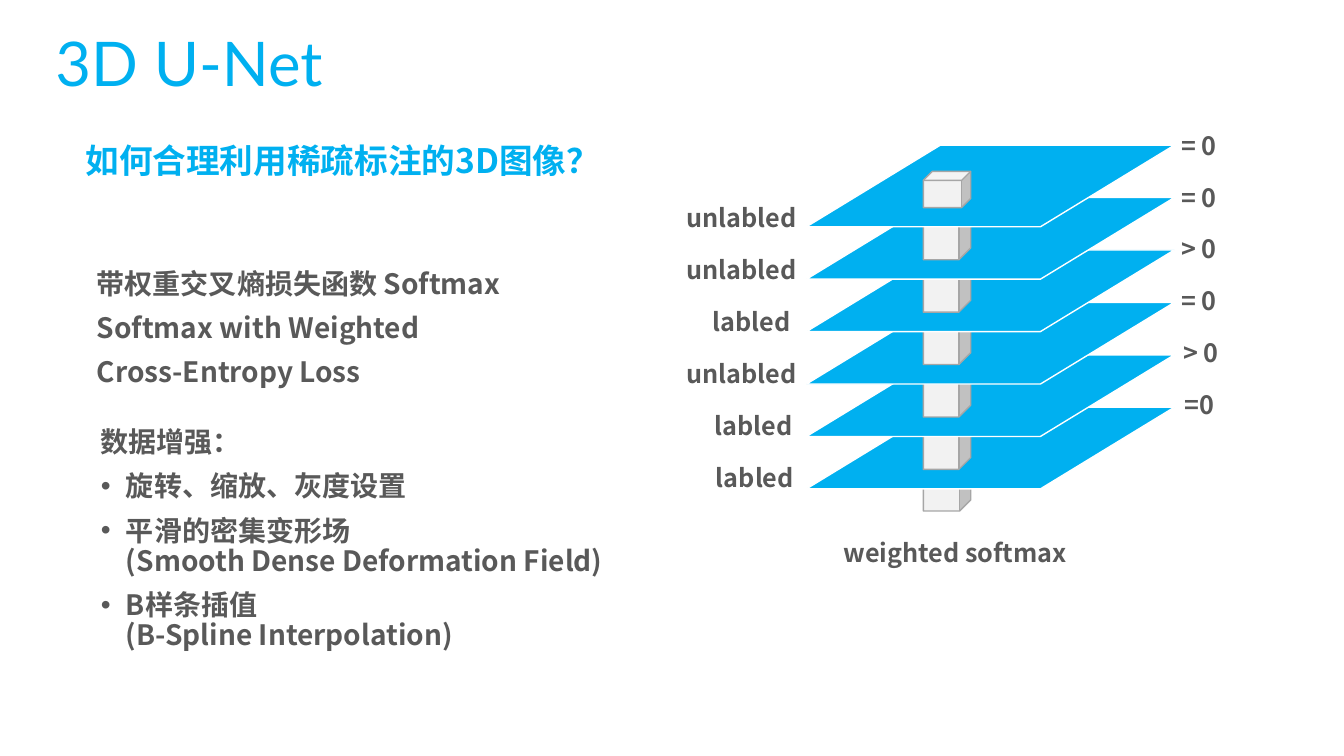
import pptx
import pptx.util
import pptx.oxml
import pptx.dml.color
import pptx.enum.shapes
import pptx.enum.text

Pt = pptx.util.Pt
Kind = pptx.enum.shapes.MSO_SHAPE
Align = pptx.enum.text.PP_ALIGN
Fit = pptx.enum.text.MSO_AUTO_SIZE
HUES = {"blue": "00B0F0", "text": "595959", "cube": "F2F2F2",
        "edge": "A6A6A6", "white": "FFFFFF"}
RGB = {name: pptx.dml.color.RGBColor.from_string(code) for name, code in HUES.items()}
HAN = "Noto Sans CJK SC"

# Grid of 160 columns by 90 rows
deck = pptx.Presentation()
deck.slide_width = pptx.util.Inches(13.33)
deck.slide_height = pptx.util.Inches(7.5)
COL = deck.slide_width / 160
ROW = deck.slide_height / 90
slide = deck.slides.add_slide(deck.slide_layouts[3])
title, loss, augment = slide.placeholders


def write(box, place, text, size, hue="text", font=HAN, bold=True, align=Align.LEFT):
    """Place a text holder on the grid, fill it and format its runs."""
    x, y, w, h = place
    box.left, box.top = round(x * COL), round(y * ROW)
    box.width, box.height = round(w * COL), round(h * ROW)
    frame = box.text_frame
    frame.word_wrap = True
    frame.auto_size = Fit.NONE
    frame.text = text
    for para in frame.paragraphs:
        para.alignment = align
        for run in para.runs:
            run.font.size = Pt(size)
            run.font.bold = bold
            run.font.name = font
            run.font.color.rgb = RGB[hue]
            east = pptx.oxml.parse_xml(
                '<a:ea xmlns:a="http://schemas.openxmlformats.org/drawingml/2006/main" '
                f'typeface="{font}"/>')
            run.font._element.find(pptx.oxml.ns.qn("a:latin")).addnext(east)


def draw(kind, x, y, w, h, fill, line):
    shape = slide.shapes.add_shape(
        kind, round(x * COL), round(y * ROW), round(w * COL), round(h * ROW))
    shape.shadow.inherit = False
    shape.fill.solid()
    shape.fill.fore_color.rgb = RGB[fill]
    shape.line.color.rgb = RGB[line]
    shape.line.width = Pt(1)
    return shape


# Title and lists
write(title, (5.4, 2.28, 40, 11.28), "3D U-Net", 44, "blue", "Lato", False)
title.text_frame.vertical_anchor = pptx.enum.text.MSO_ANCHOR.MIDDLE
title.text_frame.paragraphs[0].line_spacing = 0.9
write(loss, (10.32, 31.56, 63, 15.48),
      "带权重交叉熵损失函数 Softmax\nSoftmax with Weighted\nCross-Entropy Loss", 20)
write(augment, (10.8, 50.4, 63, 31.2),
      "数据增强：\n旋转、缩放、灰度设置\n"
      "平滑的密集变形场\v(Smooth Dense Deformation Field)\n"
      "B样条插值\v(B-Spline Interpolation)", 20)
for box in (loss, augment):
    for n, para in enumerate(box.text_frame.paragraphs):
        para.line_spacing = 0.9
        para.space_before = Pt(10)
        dot = box is augment and n > 0
        indent = Pt(18) if dot else 0
        props = para._p.get_or_add_pPr()
        props.set("marL", str(indent))
        props.set("indent", str(-indent))
        mark = '<a:buChar xmlns:a="{0}" char="•"/>' if dot else '<a:buNone xmlns:a="{0}"/>'
        props.append(pptx.oxml.parse_xml(
            mark.format("http://schemas.openxmlformats.org/drawingml/2006/main")))

# Stack of planes, drawn from the bottom up, with a column of cubes
CUBE_X, CUBE_W = 109.92, 5.64
draw(Kind.CUBE, CUBE_X, 55.56, CUBE_W, 5.28, "cube", "edge")
for n in reversed(range(6)):
    top = 17.28 + 6.24 * n
    plane = draw(Kind.PARALLELOGRAM, 96, top, 43.8, 9.72, "blue", "white")
    plane.adjustments[0] = 1.64
    drop, tall = (0.8, 6.6) if n else (3.12, 4.32)
    draw(Kind.CUBE, CUBE_X, top + drop, CUBE_W, tall, "cube", "edge")

# Labels beside each plane: name, weight, nudge to the right
LAYERS = [("unlabled ", "= 0", 0), ("unlabled ", "= 0", 0), ("labled ", "> 0", 0),
          ("unlabled ", "= 0", 0), ("labled ", "> 0", 0.24), ("labled ", "=0", 0.36)]
for n, (name, weight, nudge) in enumerate(LAYERS):
    step = 6.18 * n
    for text, x, y, align in ((name, 80.28, 23.52, Align.RIGHT),
                              (weight, 139.44, 14.88, Align.LEFT)):
        label = slide.shapes.add_textbox(0, 0, 0, 0)
        write(label, (x + nudge, y + step, 15.72, 4.8), text, 18, align=align)

write(slide.shapes.add_textbox(0, 0, 0, 0), (99.24, 63.36, 32.52, 4.8),
      "weighted softmax", 18)
write(slide.shapes.add_textbox(0, 0, 0, 0), (9, 16.08, 80, 6),
      "如何合理利用稀疏标注的3D图像？", 24, "blue")

deck.save("out.pptx")
